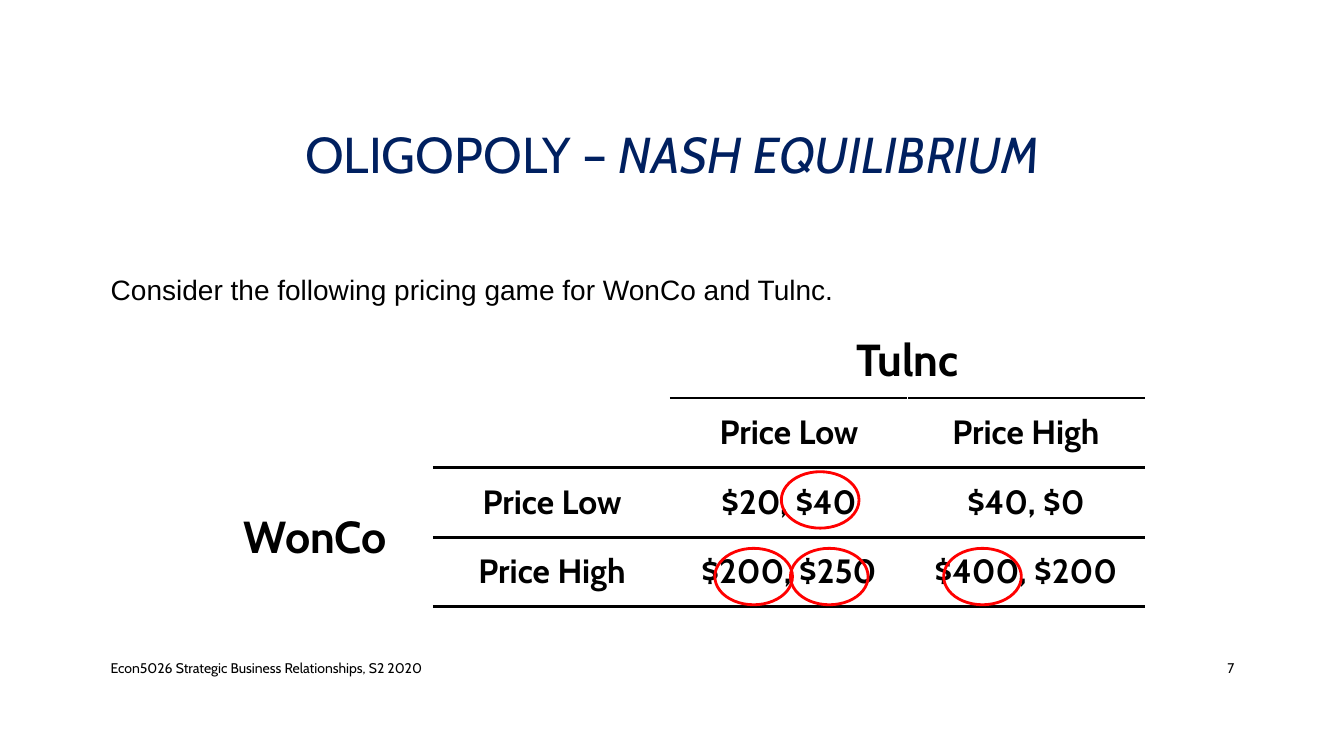
from lxml.etree import SubElement as Sub
from pptx import Presentation
from pptx.dml.color import RGBColor
from pptx.enum.shapes import MSO_SHAPE as Shape
from pptx.enum.text import MSO_ANCHOR as Anchor, PP_ALIGN as Align
from pptx.oxml.ns import qn
from pptx.util import Inches, Pt

BLACK, WHITE, NAVY, RED = "000000", "FFFFFF", "002060", "FF0000"
GAME = [
    ["", "", "Tulnc", ""],
    ["", "", "Price Low", "Price High"],
    ["WonCo", "Price Low", "$20, $40", "$40, $0"],
    ["", "Price High", "$200, $250", "$400, $200"],
]
BEST = [(7.75, 4.68), (7.84, 5.44), (7.09, 5.44), (9.36, 5.44)]


def paint(target, color):
    """Give a font, fill or line a hex colour."""
    target.rgb = RGBColor.from_string(color)


def add_run(para, text, size, font="Cabin", color=BLACK, bold=False, italic=False):
    """Add one styled run to a paragraph."""
    run = para.add_run()
    run.text = text
    face = run.font
    face.size, face.name, face.bold, face.italic = Pt(size), font, bold, italic
    paint(face.color, color)


def add_text(slide, box, align=Align.LEFT, anchor=Anchor.MIDDLE):
    """Add a wrapping text box and return its first paragraph."""
    frame = slide.shapes.add_textbox(*map(Inches, box)).text_frame
    frame.word_wrap = True
    frame.vertical_anchor = anchor
    para = frame.paragraphs[0]
    para.alignment = align
    return para


def add_edge(cell, side, color, width):
    """Draw one border of a table cell."""
    line = Sub(cell._tc.get_or_add_tcPr(), qn(f"a:ln{side}"), w=str(Pt(width)))
    fill = Sub(line, qn("a:solidFill"))
    Sub(fill, qn("a:srgbClr"), val=color)


def has_rule(edge, col):
    """Tell whether a black rule runs along a row edge in a column."""
    return col >= 2 and edge >= 1 or col == 1 and edge >= 2


def add_cell(cell, row, col):
    """Fill one cell of the payoff table."""
    for side in "LR":
        add_edge(cell, side, WHITE, 1)
    for side, edge in (("T", row), ("B", row + 1)):
        if has_rule(edge, col):
            add_edge(cell, side, BLACK, 2.25)
    cell.fill.background()
    text = GAME[row][col]
    cell.vertical_anchor = Anchor.MIDDLE if row else Anchor.TOP
    if text:
        para = cell.text_frame.paragraphs[0]
        para.alignment = Align.CENTER
        add_run(para, text, 32 if row == 0 or col == 0 else 24, bold=True)


def add_game(slide):
    """Add the payoff table with its merged player names."""
    box = map(Inches, (1.95, 3.26, 9.4, 2.76))
    table = slide.shapes.add_table(4, 4, *box).table
    table.first_row = table.horz_banding = False
    for row in range(4):
        for col in range(4):
            add_cell(table.cell(row, col), row, col)
    table.cell(0, 2).merge(table.cell(0, 3))
    table.cell(2, 0).merge(table.cell(3, 0))


def add_ring(slide, left, top):
    """Circle a best response in red."""
    box = map(Inches, (left, top, 0.77, 0.56))
    ring = slide.shapes.add_shape(Shape.OVAL, *box)
    ring.shadow.inherit = False
    ring.fill.background()
    ring.line.width = Pt(2)
    paint(ring.line.color, RED)


def main():
    """Build and save the slide."""
    deck = Presentation()
    deck.slide_width, deck.slide_height = Inches(13.33), Inches(7.5)
    slide = deck.slides.add_slide(deck.slide_layouts[6])

    title = add_text(slide, (1, 0.68, 11.33, 1.75), Align.CENTER)
    title.line_spacing = 0.9
    add_run(title, "OLIGOPOLY – ", 36, color=NAVY)
    add_run(title, "NASH EQUILIBRIUM", 36, color=NAVY, italic=True)

    intro = add_text(slide, (1, 2.59, 11.33, 3.74), anchor=Anchor.TOP)
    intro.line_spacing = 1.2
    intro.space_before = intro.space_after = Pt(6)
    add_run(intro, "Consider the following pricing game for WonCo and Tulnc.", 20, "Arial")

    foot = add_text(slide, (1, 6.43, 7.3, 0.4))
    add_run(foot, "Econ5026 Strategic Business Relationships, S2 2020", 10)
    page = add_text(slide, (11.5, 6.43, 0.84, 0.4), Align.RIGHT)
    add_run(page, "7", 10)

    add_game(slide)
    for left, top in BEST:
        add_ring(slide, left, top)
    deck.save("out.pptx")


main()
